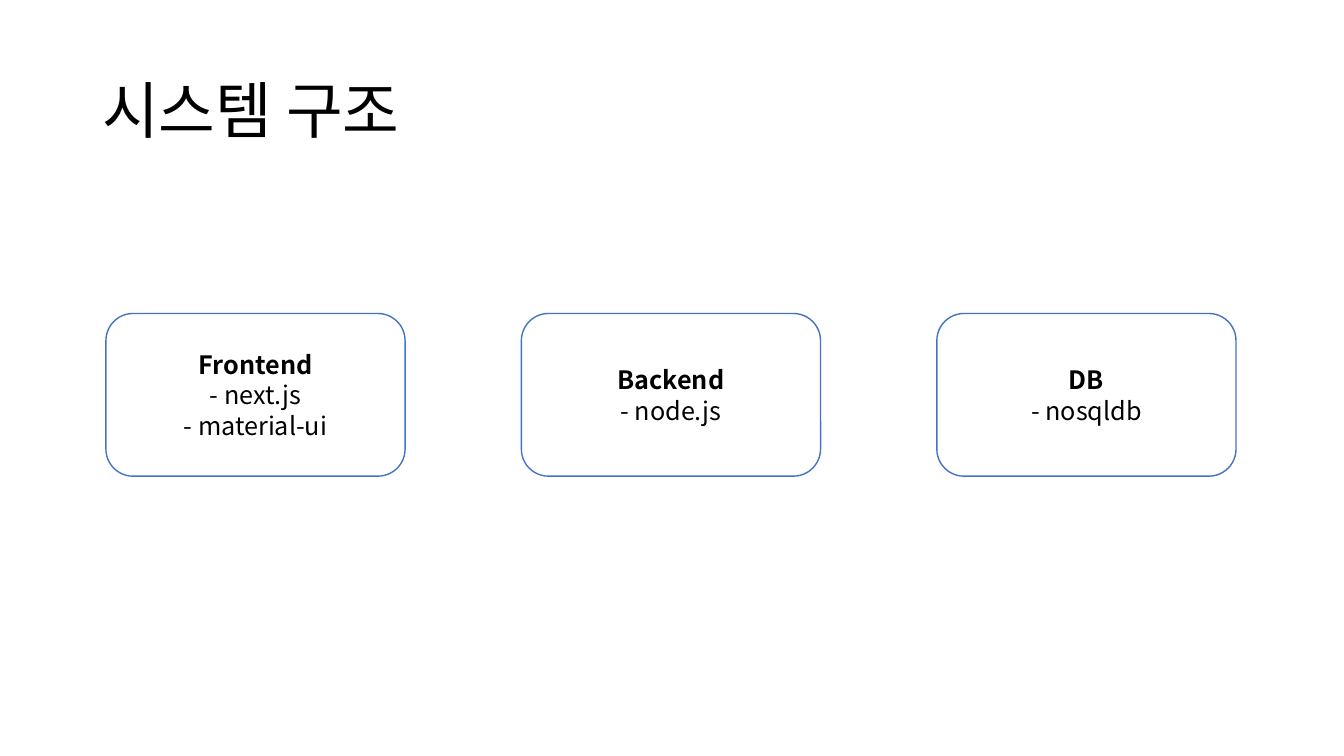
"""Build the system structure slide with its three tiers."""
from lxml import etree
from pptx import Presentation
from pptx.dml.color import RGBColor
from pptx.enum.shapes import MSO_SHAPE
from pptx.enum.text import MSO_ANCHOR, PP_ALIGN
from pptx.oxml.ns import qn
from pptx.util import Cm, Pt

ROUND = MSO_SHAPE.ROUNDED_RECTANGLE
MIDDLE = MSO_ANCHOR.MIDDLE
LEFT, CENTER = PP_ALIGN.LEFT, PP_ALIGN.CENTER

TITLE = "시스템 구조"
TIERS = [
    ("Frontend", ["- next.js", "- material-ui"]),
    ("Backend", ["- node.js"]),
    ("DB", ["- nosqldb"]),
]


class Theme:
    """Hold the font, sizes and colours."""
    font = "Noto Sans CJK KR"
    title, body = Pt(44), Pt(18)
    line = Pt(1)
    ink = RGBColor(0, 0, 0)
    paper = RGBColor(255, 255, 255)
    edge = RGBColor(0x44, 0x72, 0xC4)


def write(shape, lines, size, align, space, bold=False):
    """Fill a shape with lines, the first one bold on request."""
    frame = shape.text_frame
    frame.word_wrap = True
    frame.vertical_anchor = MIDDLE
    frame.text = "\n".join(lines)
    for row, para in enumerate(frame.paragraphs):
        para.alignment = align
        para.line_spacing = space
        for run in para.runs:
            font = run.font
            font.name, font.size = Theme.font, size
            font.bold = bold and row == 0
            font.color.rgb = Theme.ink
            props = run._r.get_or_add_rPr()
            etree.SubElement(props, qn("a:ea"), typeface=Theme.font)


deck = Presentation()
deck.slide_width, deck.slide_height = Cm(33.87), Cm(19.05)
slide = deck.slides.add_slide(deck.slide_layouts[6])

head = slide.shapes.add_textbox(Cm(2.33), Cm(1.01), Cm(29.21), Cm(3.68))
write(head, [TITLE], Theme.title, LEFT, 0.9)

left, top, wide, high = Cm(2.67), Cm(7.9), Cm(7.54), Cm(4.1)
step = Cm(10.47)
for col, (name, tools) in enumerate(TIERS):
    box = slide.shapes.add_shape(ROUND, left + col * step, top, wide, high)
    box.shadow.inherit = False
    box.fill.solid()
    box.fill.fore_color.rgb = Theme.paper
    box.line.color.rgb = Theme.edge
    box.line.width = Theme.line
    write(box, [name, *tools], Theme.body, CENTER, 1.0, bold=True)

deck.save("out.pptx")
